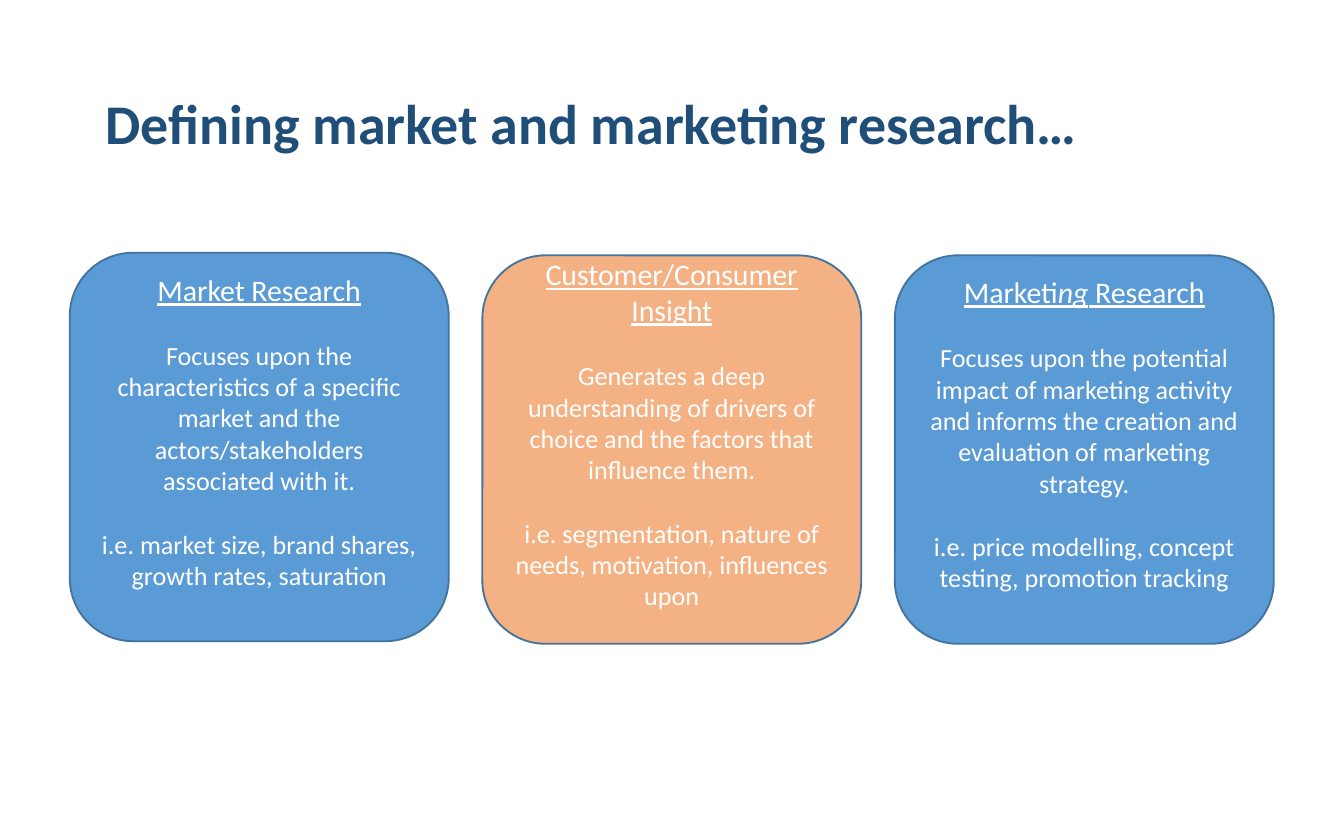
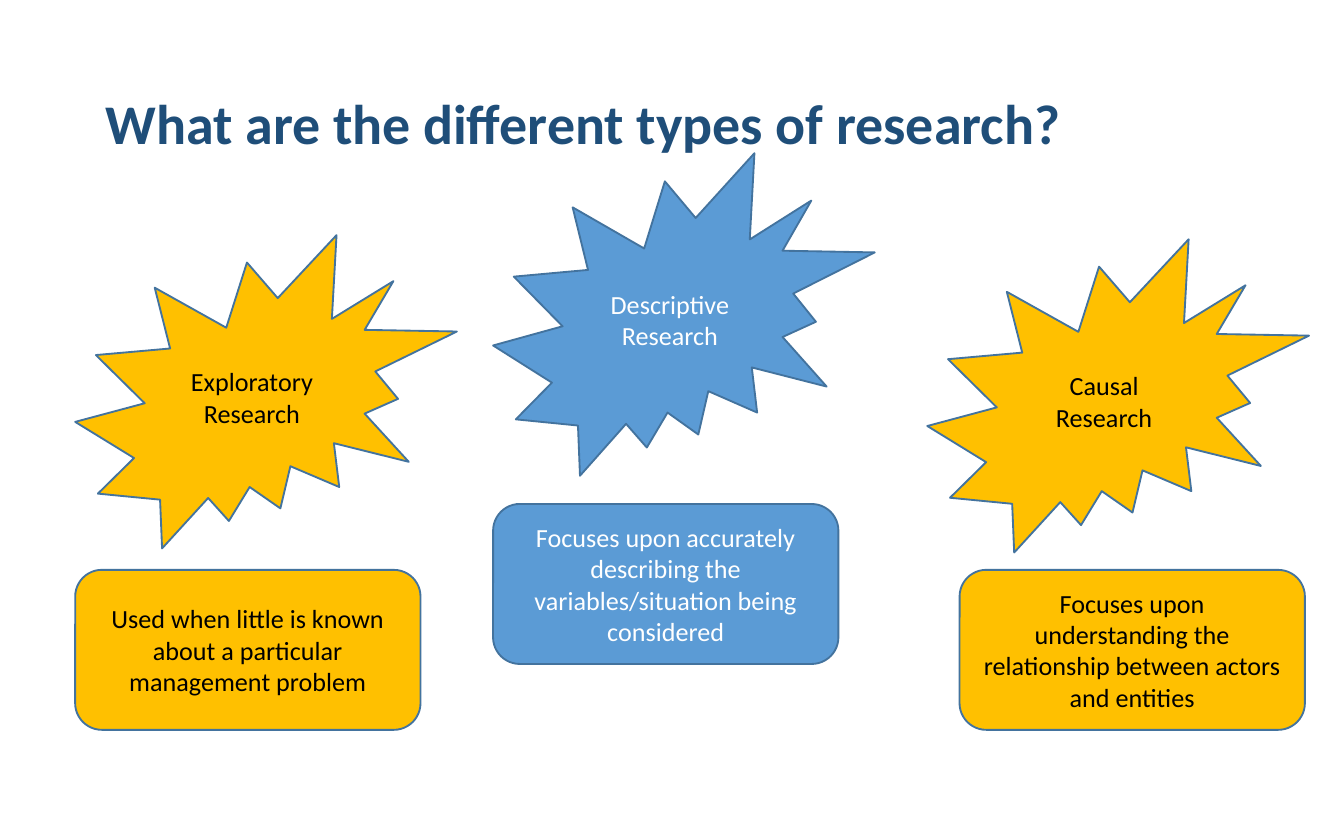
from pptx import Presentation
from pptx import util as u
from pptx.dml.color import RGBColor
from pptx.enum import shapes, text

COLORS = {
    "title": "1F4E79",
    "blue": "5B9BD5",
    "peach": "F4B183",
    "gold": "FFC000",
    "outline": "43739E",
    "white": "FFFFFF",
    "black": "000000",
}
FONT = "Calibri"
BODY_SIZE = 14
BLANK_LINE = 17.1
INSET = 3.6

DEFINITIONS_TITLE = "Defining market and marketing research…"
DEFINITIONS = [
    {"heading": [("Market Research", False)],
     "body": ["Focuses upon the characteristics of a specific market and the "
              "actors/stakeholders associated with it.",
              "i.e. market size, brand shares, growth rates, saturation"],
     "fill": "blue", "top": 135.4},
    {"heading": [("Customer/Consumer Insight", False)],
     "body": ["Generates a deep understanding of drivers of choice and the "
              "factors that influence them.",
              "i.e. segmentation, nature of needs, motivation, influences upon"],
     "fill": "peach", "top": 136.8},
    {"heading": [("Marketi", False), ("ng", True), (" Research", False)],
     "body": ["Focuses upon the potential impact of marketing activity and "
              "informs the creation and evaluation of marketing strategy.",
              "i.e. price modelling, concept testing, promotion tracking"],
     "fill": "blue", "top": 136.8},
]
CARD_LEFT, CARD_STEP, CARD_W, CARD_H = 37.4, 221, 203, 208.1

TYPES_TITLE = "What are the different types of research?"
TYPES = [
    {"name": "Exploratory Research", "fill": "gold", "ink": "black",
     "note": "Used when little is known about a particular management problem",
     "burst": (40.3, 126, 204.5, 167.8), "box": (40.3, 305.3)},
    {"name": "Descriptive Research", "fill": "blue", "ink": "white",
     "note": "Focuses upon accurately describing the variables/situation being considered",
     "burst": (264.2, 82.1, 204.5, 172.8), "box": (264.2, 270)},
    {"name": "Causal Research", "fill": "gold", "ink": "black",
     "note": "Focuses upon understanding the relationship between actors and entities",
     "burst": (496.8, 128.2, 204.5, 167.8), "box": (514.1, 305.3)},
]
BOX_SIZE = (185, 85.7)


def rgb(name):
    return RGBColor.from_string(COLORS[name])


def style(p, size, color):
    p.font.name = FONT
    p.font.size = u.Pt(size)
    p.font.color.rgb = rgb(color)


def add_titled_slide(prs, title):
    s = prs.slides.add_slide(prs.slide_layouts[6])
    sp = s.shapes.add_textbox(*map(u.Pt, (49.5, 24, 621, 87)))
    tf = sp.text_frame
    tf.word_wrap = True
    tf.vertical_anchor = text.MSO_ANCHOR.MIDDLE
    p = tf.paragraphs[0]
    p.text = title
    p.line_spacing = 0.9
    style(p, 30, "title")
    p.font.bold = True
    return s


def add_panel(s, kind, box, fill):
    sp = s.shapes.add_shape(kind, *map(u.Pt, box))
    sp.shadow.inherit = False
    sp.fill.solid()
    sp.fill.fore_color.rgb = rgb(fill)
    sp.line.color.rgb = rgb("outline")
    sp.line.width = u.Pt(1)
    tf = sp.text_frame
    tf.word_wrap = True
    tf.vertical_anchor = text.MSO_ANCHOR.MIDDLE
    tf.paragraphs[0].alignment = text.PP_ALIGN.CENTER
    return tf


def add_card(s, left, card):
    tf = add_panel(s, shapes.MSO_SHAPE.ROUNDED_RECTANGLE,
                   (left, card["top"], CARD_W, CARD_H), card["fill"])
    tf.margin_bottom = u.Pt(INSET + BLANK_LINE)
    p = tf.paragraphs[0]
    style(p, 16, "white")
    for words, italic in card["heading"]:
        r = p.add_run()
        r.text = words
        r.font.underline = True
        r.font.italic = italic
    for words in card["body"]:
        p = tf.add_paragraph()
        p.text = words
        p.alignment = text.PP_ALIGN.CENTER
        p.space_before = u.Pt(BLANK_LINE)
        style(p, BODY_SIZE, "white")


def add_label(s, kind, box, words, item):
    p = add_panel(s, kind, box, item["fill"]).paragraphs[0]
    p.text = words
    style(p, BODY_SIZE, item["ink"])


def main():
    prs = Presentation()
    prs.slide_width, prs.slide_height = u.Pt(720), u.Pt(450)

    s = add_titled_slide(prs, DEFINITIONS_TITLE)
    for i, card in enumerate(DEFINITIONS):
        add_card(s, CARD_LEFT + i * CARD_STEP, card)

    s = add_titled_slide(prs, TYPES_TITLE)
    for item in TYPES:
        add_label(s, shapes.MSO_SHAPE.EXPLOSION2, item["burst"], item["name"], item)
        add_label(s, shapes.MSO_SHAPE.ROUNDED_RECTANGLE, item["box"] + BOX_SIZE,
                  item["note"], item)

    prs.save("out.pptx")


if __name__ == "__main__":
    main()
